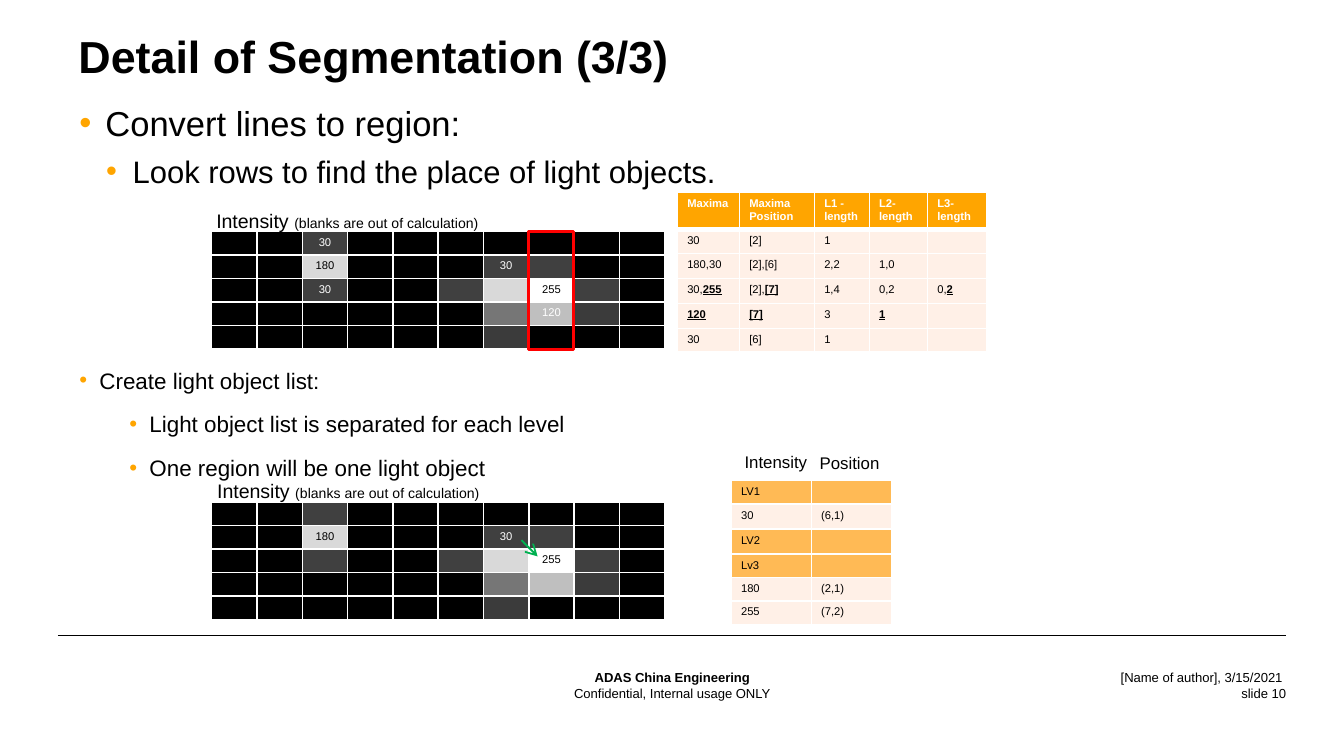
from lxml import etree
from pptx import Presentation
from pptx.dml.color import RGBColor
from pptx.enum.shapes import MSO_CONNECTOR, MSO_SHAPE
from pptx.enum.text import MSO_ANCHOR, MSO_AUTO_SIZE, PP_ALIGN
from pptx.oxml.ns import qn
from pptx.util import Pt

LEFT, CENTER, RIGHT = PP_ALIGN.LEFT, PP_ALIGN.CENTER, PP_ALIGN.RIGHT
TOP, BOTTOM = MSO_ANCHOR.TOP, MSO_ANCHOR.BOTTOM
FONT = "Arial"
COLORS = {
    "black": "000000", "white": "FFFFFF", "orange": "FFA500", "amber": "FFBA55",
    "cream": "FFF0E7", "red": "FF0000", "green": "00B050",
}
# One letter per pixel of the intensity grids
SHADES = {
    "k": "000000", "e": "3B3B3B", "d": "404040", "g": "767676",
    "s": "BFBFBF", "l": "D9D9D9", "w": "FFFFFF",
}


def set_font(paragraph, size, color="black", bold=False):
    font = paragraph.font
    font.name, font.size, font.bold = FONT, Pt(size), bold
    font.color.rgb = RGBColor.from_string(COLORS[color])


def fill_cell(cell, text, fill, color="black", align=LEFT, bold=False, bottom=1):
    """Fill, border and write a cell; parts between asterisks are bold and underlined."""
    cell.margin_left = cell.margin_right = Pt(5.2)
    cell.margin_top = cell.margin_bottom = Pt(2.6)
    cell.fill.solid()
    cell.fill.fore_color.rgb = RGBColor.from_string(fill)
    tc_pr = cell._tc.get_or_add_tcPr()
    for position, (side, width) in enumerate((("L", 1), ("R", 1), ("T", 1), ("B", bottom))):
        border = etree.Element(qn(f"a:ln{side}"), w=str(Pt(width)))
        solid = etree.SubElement(border, qn("a:solidFill"))
        etree.SubElement(solid, qn("a:srgbClr"), val=COLORS["white"])
        tc_pr.insert(position, border)
    frame = cell.text_frame
    for number, line in enumerate(text.split("\n")):
        paragraph = frame.add_paragraph() if number else frame.paragraphs[0]
        paragraph.alignment = align
        set_font(paragraph, 6, color, bold)
        if not line:
            etree.SubElement(paragraph._p, qn("a:endParaRPr"), sz="600")
        for part_number, part in enumerate(line.split("*")):
            if part:
                run = paragraph.add_run()
                run.text = part
                if part_number % 2:
                    run.font.bold = run.font.underline = True


prs = Presentation()
prs.slide_width, prs.slide_height = Pt(720), Pt(405)
slide = prs.slides.add_slide(prs.slide_layouts[3])
shapes = slide.shapes

# Title
title = shapes.title
title.left, title.top, title.width, title.height = Pt(42), Pt(17.3), Pt(543.6), Pt(38.2)
heading = title.text_frame
heading.text = "Detail of Segmentation (3/3)"
heading.auto_size = MSO_AUTO_SIZE.NONE
heading.vertical_anchor = TOP
heading.margin_left = heading.margin_top = heading.margin_bottom = 0
heading.paragraphs[0].alignment = LEFT
heading.paragraphs[0].line_spacing = 0.95
set_font(heading.paragraphs[0], 24, bold=True)

# Bullet lists: placeholder, top, height, inset, line spacing, before, after,
# then the items as text, level, size, indent, hanging
bullet_lists = [
    (1, 57.6, 49.7, 1.4, 0.8, 9, 0, [
        ("Convert lines to region:", 0, 18.5, 14, 14),
        ("Look rows to find the place of light objects.", 1, 16.6, 28.6, 14.2)]),
    (2, 195.8, 63.4, 0.7, 1.0, 0, 9, [
        ("Create light object list:", 0, 12, 10.8, 10.8),
        ("Light object list is separated for each level", 1, 12, 37.6, 10.8),
        ("One region will be one light object", 1, 12, 37.6, 10.8)]),
]
for index, top, height, inset, spacing, before, after, items in bullet_lists:
    body = slide.placeholders[index]
    body.left, body.top, body.width, body.height = Pt(42.5), Pt(top), Pt(575.3), Pt(height)
    frame = body.text_frame
    frame.auto_size = MSO_AUTO_SIZE.NONE
    frame.vertical_anchor = TOP
    frame.margin_left = frame.margin_right = 0
    frame.margin_top = frame.margin_bottom = Pt(inset)
    for number, (text, level, size, indent, hanging) in enumerate(items):
        paragraph = frame.add_paragraph() if number else frame.paragraphs[0]
        paragraph.text = text
        paragraph.level = level
        p_pr = paragraph._p.get_or_add_pPr()
        p_pr.set("marL", str(Pt(indent)))
        p_pr.set("indent", str(-Pt(hanging)))
        bullet_color = etree.SubElement(p_pr, qn("a:buClr"))
        etree.SubElement(bullet_color, qn("a:srgbClr"), val=COLORS["orange"])
        etree.SubElement(p_pr, qn("a:buFont"), typeface=FONT)
        etree.SubElement(p_pr, qn("a:buChar"), char="•")
        paragraph.line_spacing = spacing
        paragraph.space_before = Pt(before if number else 0)
        paragraph.space_after = Pt(after)
        set_font(paragraph, size)

# Intensity grids
pixels = ["kkdkkkkkkk", "kklkkkddkk", "kkdkkdlwdk", "kkkkkkgsek", "kkkkkkekkk"]
peaks = {(1, 2): "180", (1, 6): "30", (2, 7): "255"}
all_values = {**peaks, (0, 2): "30", (2, 2): "30", (3, 7): "120"}
GRID_LEFT, PIXEL_WIDTH, PIXEL_HEIGHT = 113.4, 24.27, 12.64
for grid_top, values in ((124, all_values), (268.8, peaks)):
    grid = shapes.add_table(5, 10, Pt(GRID_LEFT), Pt(grid_top),
                            Pt(10 * PIXEL_WIDTH), Pt(5 * PIXEL_HEIGHT)).table
    grid.first_row = grid.horz_banding = False
    for column in grid.columns:
        column.width = Pt(PIXEL_WIDTH)
    for r, shades in enumerate(pixels):
        grid.rows[r].height = Pt(PIXEL_HEIGHT)
        for c, shade in enumerate(shades):
            fill_cell(grid.cell(r, c), values.get((r, c), ""), SHADES[shade],
                      "black" if shade in "lw" else "white", CENTER)

# Maxima and light object tables: left, top, column widths, row heights, header rows,
# header fill, header text colour, rows
data_tables = [
    (363, 103.2, [33.2, 40.2, 29.4, 31.2, 31.8], [20, 12.6, 13.4, 13.4, 13.4, 12.6],
     {0}, "orange", "white", [
        ["Maxima", "Maxima\nPosition", "L1 - length", "L2- length", "L3- length"],
        ["30", "[2]", "1", "", ""],
        ["180,30", "[2],[6]", "2,2", "1,0", ""],
        ["30,*255*", "[2],*[7]*", "1,4", "0,2", "0,*2*"],
        ["*120*", "*[7]*", "3", "*1*", ""],
        ["30", "[6]", "1", "", ""]]),
    (391.8, 257.5, [42.9, 42.9], [12.6, 13.4, 13.4, 12.6, 12.6, 12.6],
     {0, 2, 3}, "amber", "black", [
        ["LV1", ""], ["30", "(6,1)"], ["LV2", ""],
        ["Lv3", ""], ["180", "(2,1)"], ["255", "(7,2)"]]),
]
for left, top, widths, heights, headers, header_fill, header_color, rows in data_tables:
    table = shapes.add_table(len(rows), len(widths), Pt(left), Pt(top),
                             Pt(sum(widths)), Pt(sum(heights))).table
    table.first_row = table.horz_banding = False
    for column, width in zip(table.columns, widths):
        column.width = Pt(width)
    for r, texts in enumerate(rows):
        table.rows[r].height = Pt(heights[r])
        for c, text in enumerate(texts):
            if r in headers:
                on_orange = header_fill == "orange"
                fill_cell(table.cell(r, c), text, COLORS[header_fill], header_color,
                          bold=on_orange, bottom=3 if on_orange else 1)
            else:
                fill_cell(table.cell(r, c), text, COLORS["cream"])

# Red frame around the column of the maximum
column_frame = shapes.add_shape(MSO_SHAPE.RECTANGLE, Pt(GRID_LEFT + 7 * PIXEL_WIDTH),
                                Pt(124), Pt(24), Pt(63.2))
column_frame.shadow.inherit = False
column_frame.fill.background()
column_frame.line.color.rgb = RGBColor.from_string(COLORS["red"])
column_frame.line.width = Pt(1.5)

# Table captions
intensity_note = [("Intensity ", 10.5), ("(blanks are out of calculation)", 7.5)]
captions = [
    (108.8, 108.3, 155.5, 20, intensity_note),
    (109.3, 253, 155.5, 20, intensity_note),
    (391.8, 238.5, 48.2, 18, [("Intensity", 9)]),
    (432, 239, 46.8, 18, [("Position", 9)]),
]
for left, top, width, height, parts in captions:
    caption = shapes.add_textbox(Pt(left), Pt(top), Pt(width), Pt(height)).text_frame
    caption.word_wrap = False
    caption.auto_size = MSO_AUTO_SIZE.SHAPE_TO_FIT_TEXT
    set_font(caption.paragraphs[0], parts[0][1])
    for text, size in parts:
        run = caption.paragraphs[0].add_run()
        run.text = text
        run.font.size = Pt(size)

# Footer
footers = [
    (283.5, 359.3, "ADAS China Engineering", CENTER, BOTTOM, True),
    (283.5, 367.2, "Confidential, Internal usage ONLY", CENTER, TOP, False),
    (535.7, 359.3, "[Name of author], 3/15/2021 ", RIGHT, BOTTOM, False),
    (535.7, 367.2, "slide 10", RIGHT, TOP, False),
]
for left, top, text, align, anchor, bold in footers:
    footer = shapes.add_textbox(Pt(left), Pt(top), Pt(153.3), Pt(7.9)).text_frame
    footer.margin_left = footer.margin_right = footer.margin_top = footer.margin_bottom = 0
    footer.word_wrap = True
    footer.vertical_anchor = anchor
    footer.text = text
    footer.paragraphs[0].alignment = align
    set_font(footer.paragraphs[0], 7, bold=bold)

# Footer rule and the arrow from 30 to its maximum 255
connectors = [
    (31, 340.6, 689, 340.6, "black", 0.35, False),
    (279.4, 289.4, 288, 298.1, "green", 1, True),
]
for x1, y1, x2, y2, color, width, has_arrow in connectors:
    connector = shapes.add_connector(MSO_CONNECTOR.STRAIGHT, Pt(x1), Pt(y1), Pt(x2), Pt(y2))
    connector.line.color.rgb = RGBColor.from_string(COLORS[color])
    connector.line.width = Pt(width)
    if has_arrow:
        etree.SubElement(connector.line._get_or_add_ln(), qn("a:tailEnd"), type="arrow")
    etree.SubElement(connector._element.spPr, qn("a:effectLst"))

prs.save("out.pptx")
